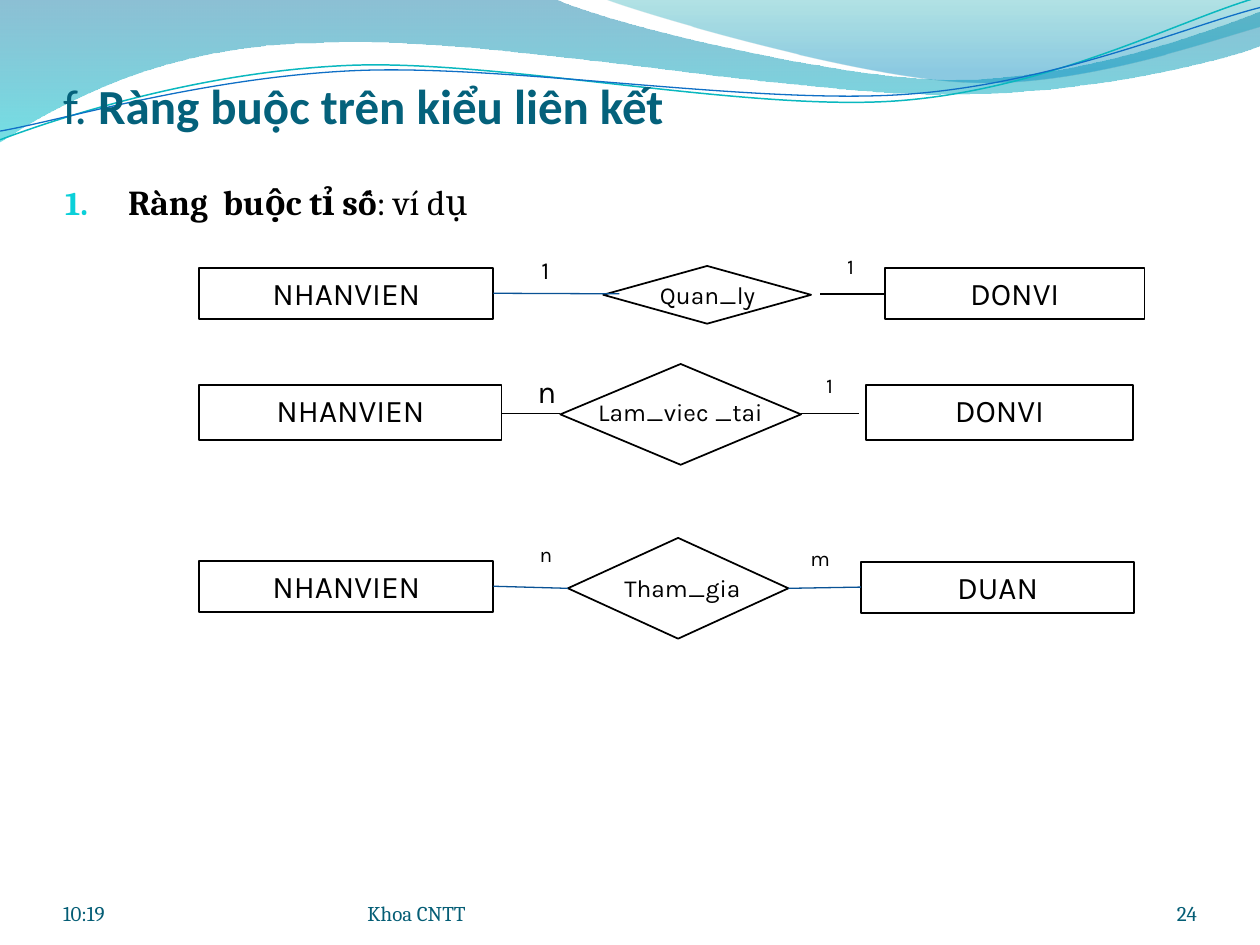
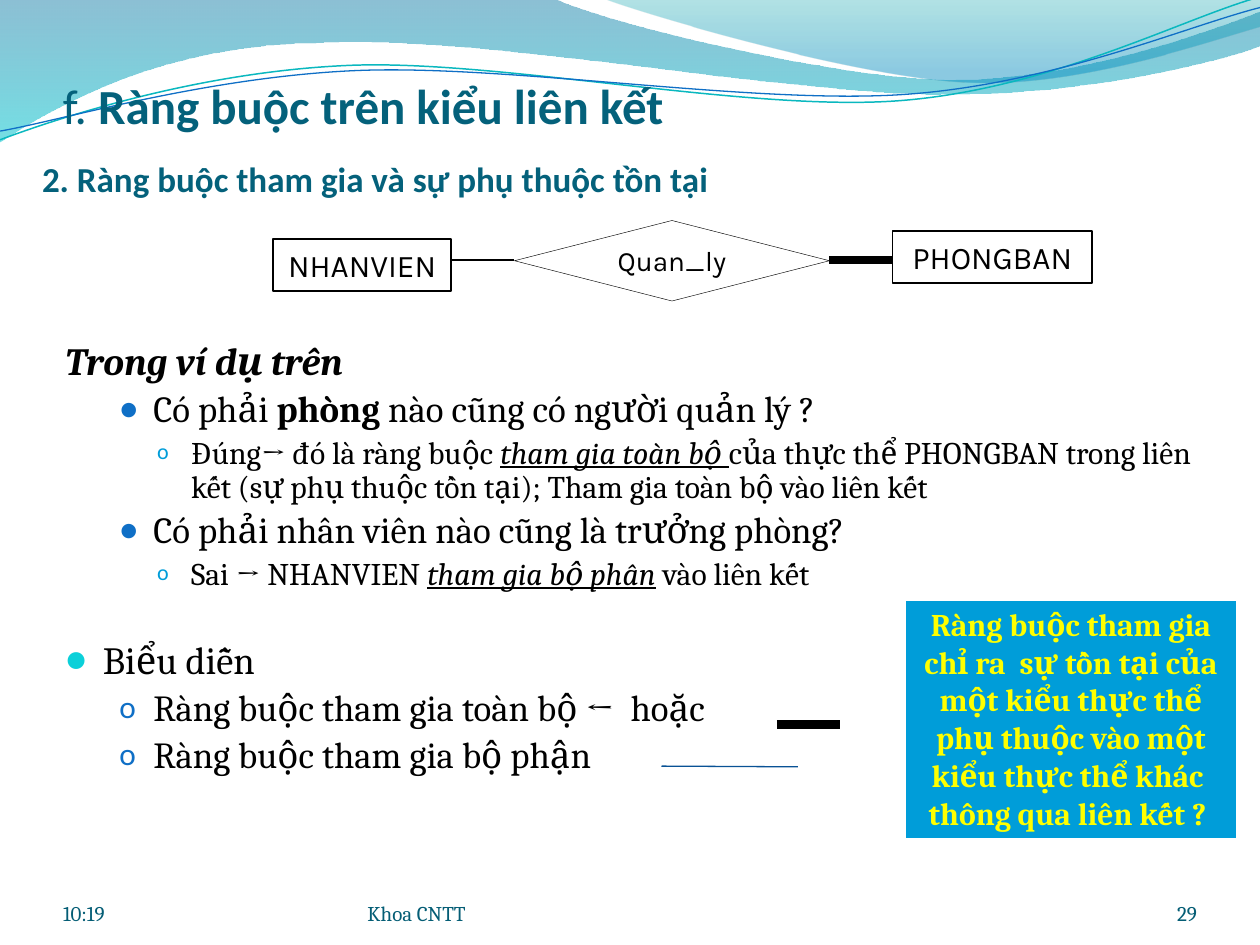
from lxml.etree import SubElement
from pptx import Presentation
from pptx.dml.color import RGBColor
from pptx.enum.shapes import MSO_CONNECTOR, MSO_SHAPE
from pptx.enum.text import MSO_ANCHOR, MSO_AUTO_SIZE, PP_ALIGN
from pptx.oxml.ns import qn
from pptx.util import Pt

BLACK, WHITE, TEAL, FOOTER_TEAL = "000000", "FFFFFF", "04617B", "045D75"
LINK_BLUE, SKY, BLUE, AQUA, YELLOW = "095295", "009DD9", "0F6FC6", "0BD0D9", "FFFF00"
HEADING_FONT, BODY_FONT, DIAGRAM_FONT = "Calibri", "Cambria", "Karla"

HEADING = [("f. ", ""), ("Ràng buộc trên kiểu liên kết", "b")]
HEADING_AREA = (36, 28, 648, 49)
SUBHEADING = [("2. Ràng buộc tham gia và sự phụ thuộc tồn tại", "b")]
SUBHEADING_AREA = (24, 84, 630, 30)
FOOTERS = [
    ("10:19", 36, 168, PP_ALIGN.LEFT),
    ("Khoa CNTT", 210, 264, PP_ALIGN.LEFT),
]
PAGE_NUMBER_AREA = (624, 60)

BANDS = [
    ((0, -0.7), [
        [(316.8, -0.7)],
        [(342.7, 12.2), (478.1, 45.4), (545.8, 45.4)],
        [(614.2, 45.4), (689.8, 18.7), (720, 6.5)],
        [(720.7, 25.9)],
        [(707.8, 31.7), (626.4, 54.7), (537.1, 54)],
        [(447.8, 54), (275, 20.2), (185, 24.5)],
        [(92.9, 25.2), (33.1, 59.8), (-0.7, 81.4)],
    ], [(0, "0074A1", 45), (1, "00C6CF", 55)]),
    ((344.9, -0.7), [
        [(366.5, 7.9), (491, 44.6), (553.7, 46.8)],
        [(616.3, 49.7), (691.9, 23), (720, 15.1)],
        [(720, 0)],
    ], [(0, "00A1A9", 30), (0.8, "008BBF", 45)]),
]
WAVES = [
    ((0, 79.9), [
        [(34.6, 67), (113.8, 41), (199.4, 37.4)],
        [(284.4, 33.8), (427, 64.1), (513.4, 57.6)],
        [(599.8, 51.1), (675.4, 10.8), (718.6, -1.4)],
    ], "0AB8BF", 0.85),
    ((0, 74.9), [
        [(33.8, 69.1), (118.1, 43.9), (203.8, 40.3)],
        [(290.2, 36.7), (429.8, 59.8), (516.2, 54)],
        [(601.9, 48.2), (677.5, 15.1), (720, 4.3)],
    ], BLUE, 0.75),
]

RELATIONS = [
    {
        "entities": [("NHANVIEN", (113.9, 153.2, 168, 29)), ("DONVI", (505.6, 153.2, 148.5, 29))],
        "relation": (344.7, 152, 118.8, 33),
        "label": ("Quan_ly", (347.9, 156.2, 113, 24)),
        "links": [((282, 167.6), (354, 167.9), LINK_BLUE, 0.75), ((468.7, 168), (505.5, 168), BLACK, 1)],
        "ratios": [("1", 14, 293, 142, 37.4), ("1", 12, 474, 141.2, 24)],
    },
    {
        "entities": [("NHANVIEN", (113.9, 219.9, 172.8, 31.7)), ("DONVI", (494.8, 219.9, 152.6, 31.7))],
        "relation": (320.2, 208, 137.5, 57.6),
        "label": ("Lam_viec _tai", (333.3, 223.2, 111, 24)),
        "links": [((286.6, 236.3), (320, 236.3), BLACK, 1), ((457.5, 236.3), (490.7, 236.3), BLACK, 1)],
        "ratios": [("n", 18, 300, 209, 18), ("1", 12, 462, 209.2, 24)],
    },
    {
        "entities": [("NHANVIEN", (113.9, 320.6, 168, 29)), ("DUAN", (492, 321.2, 156.2, 29))],
        "relation": (324.5, 307.4, 126, 57.6),
        "label": ("Tham_gia", (336, 323.8, 108, 24)),
        "links": [((282, 335), (324.5, 336.2), LINK_BLUE, 0.75), ((450.5, 336.2), (492, 335.5), LINK_BLUE, 0.75)],
        "ratios": [("n", 12, 300, 306, 24), ("m", 12, 456, 308.2, 24)],
    },
]
RATIO_BODY_AREA = (30, 102, 648, 402)
RATIO_BODY = [("number", 20, 0, [("Ràng  buộc tỉ số", "b"), (": ví dụ", "")])]

MANAGED_ENTITIES = [("NHANVIEN", (156, 136.5, 102, 29.8)), ("PHONGBAN", (510, 132, 114, 29.8))]
MANAGING = ("Quan_ly", (294, 126, 180, 46))
PARTICIPATION_LINKS = [
    ((258, 148.6), (294, 148.6), BLACK, 1),
    ((474, 148.6), (510, 148.6), BLACK, 4.75),
    ((444, 414), (480, 414), BLACK, 4.75),
    ((378, 437.8), (456, 438.2), LINK_BLUE, 0.75),
]
PARTICIPATION_BODY_AREA = (30, 192, 660, 306)
PARTICIPATION_BODY = [
    ("plain", 22, 0, [("Trong ví dụ trên", "bi")]),
    ("dot", 21, 4.2, [("Có phải ", ""), ("phòng", "b"), (" nào cũng có người quản lý ?", "")]),
    ("circle small", 18, 3.4, [
        ("Đúng→ đó là ràng buộc ", ""), ("tham gia toàn bộ ", "iu"),
        ("của thực thể PHONGBAN trong liên kết (sự phụ thuộc tồn tại); Tham gia toàn bộ vào liên kết", ""),
    ]),
    ("dot", 21, 4.2, [("Có phải nhân viên nào cũng là trưởng phòng?", "")]),
    ("circle small", 18, 3.4, [("Sai → NHANVIEN ", ""), ("tham gia bộ phân", "iu"), (" vào liên kết", "")]),
    ("top dot", 22, 28, [("Biểu diễn", "")]),
    ("circle", 21, 4.2, [("Ràng buộc tham gia toàn bộ ←  hoặc", "")]),
    ("circle", 21, 4.2, [("Ràng buộc tham gia bộ phận", "")]),
]
LIST_STYLES = {
    "plain": (0, 21.6, 21.6, None, None, None),
    "number": (0, 36, 36, "1.", AQUA, 95),
    "top dot": (0, 21.6, 21.6, "●", AQUA, 95),
    "dot": (1, 50.4, 19.4, "●", BLUE, 85),
    "circle": (1, 50.4, 19.4, "o", BLUE, 85),
    "circle small": (2, 72, 19.4, "o", SKY, 70),
}
CALLOUT = ("Ràng buộc tham gia chỉ ra  sự tồn tại của một kiểu thực thể phụ thuộc vào "
           "một kiểu thực thể khác  thông qua liên kết ? ")
CALLOUT_AREA = (516, 342, 192, 138.3)


def color(value):
    return RGBColor.from_string(value)


def points(values):
    return [Pt(value) for value in values]


def place(shape, area):
    shape.left, shape.top, shape.width, shape.height = points(area)


def set_font(font, name, size, tint, bold=None):
    font.name, font.size, font.bold = name, Pt(size), bold
    font.color.rgb = color(tint)


def add_spans(para, spans):
    for text, marks in spans:
        span = para.add_run()
        span.text = text
        span.font.bold = "b" in marks
        span.font.italic = "i" in marks
        span.font.underline = "u" in marks


def write(box, text, name, size, tint, align=PP_ALIGN.CENTER, anchor=MSO_ANCHOR.TOP, bold=None):
    frame = box.text_frame
    frame.word_wrap = True
    frame.vertical_anchor = anchor
    para = frame.paragraphs[0]
    para.text = text
    para.alignment = align
    set_font(para.font, name, size, tint, bold)
    return frame


def add_label(page, text, area, size):
    write(page.shapes.add_textbox(*points(area)), text, DIAGRAM_FONT, size, BLACK)


def fill_heading(box, area, spans, size):
    place(box, area)
    frame = write(box, "", HEADING_FONT, size, TEAL, PP_ALIGN.LEFT, MSO_ANCHOR.BOTTOM)
    frame.auto_size = MSO_AUTO_SIZE.NONE
    frame.margin_left = frame.margin_right = frame.margin_bottom = 0
    frame.margin_top = Pt(3.6)
    add_spans(frame.paragraphs[0], spans)


def set_bullet(para, style):
    level, margin, hanging, mark, tint, percent = LIST_STYLES[style]
    para.level = level
    properties = para._p.get_or_add_pPr()
    properties.set("marL", str(Pt(margin)))
    properties.set("indent", str(-Pt(hanging)))
    if mark is None:
        SubElement(properties, qn("a:buNone"))
        return
    SubElement(SubElement(properties, qn("a:buClr")), qn("a:srgbClr"), val=tint)
    SubElement(properties, qn("a:buSzPct"), val=str(percent * 1000))
    if mark == "1.":
        SubElement(properties, qn("a:buFont"), typeface=BODY_FONT)
        SubElement(properties, qn("a:buAutoNum"), type="arabicPeriod")
    else:
        SubElement(properties, qn("a:buFont"), typeface=HEADING_FONT)
        SubElement(properties, qn("a:buChar"), char=mark)


def fill_body(page, area, items):
    body = page.placeholders[1]
    place(body, area)
    frame = body.text_frame
    frame.auto_size = MSO_AUTO_SIZE.NONE
    for index, (style, size, space, spans) in enumerate(items):
        para = frame.add_paragraph() if index else frame.paragraphs[0]
        set_bullet(para, style)
        para.line_spacing = 0.9
        para.space_before = Pt(space)
        set_font(para.font, BODY_FONT, size, BLACK)
        add_spans(para, spans)


def add_outline(page, kind, area, weight=1):
    shape = page.shapes.add_shape(kind, *points(area))
    shape.shadow.inherit = False
    shape.fill.background()
    shape.line.color.rgb = color(BLACK)
    shape.line.width = Pt(weight)
    return shape


def add_entities(page, entities, anchor):
    for name, area in entities:
        write(add_outline(page, MSO_SHAPE.RECTANGLE, area), name, DIAGRAM_FONT, 18, BLACK, anchor=anchor)


def add_links(page, links):
    for start, end, tint, weight in links:
        link = page.shapes.add_connector(MSO_CONNECTOR.STRAIGHT, *points(start + end))
        link.line.color.rgb = color(tint)
        link.line.width = Pt(weight)
        SubElement(link._element.spPr, qn("a:effectLst"))


def draw_curve(page, start, segments, close):
    builder = page.shapes.build_freeform(start[0] * 100, start[1] * 100, scale=Pt(1) / 100)
    corners = [(x * 100, y * 100) for segment in segments for x, y in segment]
    builder.add_line_segments(corners, close=close)
    shape = builder.convert_to_shape()
    shape.shadow.inherit = False
    lines = iter(list(shape._element.iter(qn("a:lnTo"))))
    for segment in segments:
        first, *others = [next(lines) for _ in segment]
        if others:
            first.tag = qn("a:cubicBezTo")
        for line in others:
            first.append(line[0])
            line.getparent().remove(line)
    return shape


def add_waves_to_master(deck, page):
    waves = []
    for start, segments, stops in BANDS:
        band = draw_curve(page, start, segments, True)
        band.line.fill.background()
        band.fill.gradient()
        band.fill.gradient_angle = 270
        for stop, (position, tint, opacity) in zip(band.fill.gradient_stops, stops):
            stop.position = position
            stop.color.rgb = color(tint)
            SubElement(stop._gs.find(qn("a:srgbClr")), qn("a:alpha"), val=str(opacity * 1000))
        waves.append(band)
    for start, segments, tint, weight in WAVES:
        wave = draw_curve(page, start, segments, False)
        wave.fill.background()
        wave.line.color.rgb = color(tint)
        wave.line.width = Pt(weight)
        waves.append(wave)
    tree = deck.slide_master.shapes._spTree
    for index, wave in enumerate(waves):
        wave._element.nvSpPr.cNvPr.set("id", str(100 + index))
        tree.insert(2 + index, wave._element)


def add_footers(page, number):
    for text, left, width, align in [*FOOTERS, (number, *PAGE_NUMBER_AREA, PP_ALIGN.RIGHT)]:
        box = page.shapes.add_textbox(*points((left, 500.4, width, 28.8)))
        frame = write(box, text, BODY_FONT, 12, FOOTER_TEAL, align, MSO_ANCHOR.BOTTOM)
        frame.margin_left = frame.margin_right = frame.margin_top = frame.margin_bottom = 0


def build_ratio_page(page):
    fill_heading(page.shapes.title, HEADING_AREA, HEADING, 28)
    fill_body(page, RATIO_BODY_AREA, RATIO_BODY)
    for row in RELATIONS:
        add_entities(page, row["entities"], MSO_ANCHOR.TOP)
        add_outline(page, MSO_SHAPE.FLOWCHART_DECISION, row["relation"])
        add_label(page, *row["label"], 14)
        add_links(page, row["links"])
        for text, size, left, top, width in row["ratios"]:
            add_label(page, text, (left, top, width, size * 1.2 + 7.2), size)
    add_footers(page, "24")


def build_participation_page(page):
    fill_heading(page.shapes.title, SUBHEADING_AREA, SUBHEADING, 20)
    fill_body(page, PARTICIPATION_BODY_AREA, PARTICIPATION_BODY)
    add_entities(page, MANAGED_ENTITIES, MSO_ANCHOR.MIDDLE)
    name, area = MANAGING
    diamond = add_outline(page, MSO_SHAPE.FLOWCHART_DECISION, area, 0.25)
    frame = write(diamond, name, DIAGRAM_FONT, 16, BLACK, anchor=MSO_ANCHOR.MIDDLE)
    frame.margin_left = frame.margin_right = 0
    frame.word_wrap = False
    add_links(page, PARTICIPATION_LINKS)
    callout = add_outline(page, MSO_SHAPE.RECTANGLE, CALLOUT_AREA, 3)
    callout.fill.solid()
    callout.fill.fore_color.rgb = color(SKY)
    callout.line.color.rgb = color(WHITE)
    write(callout, CALLOUT, BODY_FONT, 18, YELLOW, bold=True)
    fill_heading(page.shapes.add_textbox(0, 0, 0, 0), HEADING_AREA, HEADING, 28)
    add_footers(page, "29")


def main():
    deck = Presentation()
    deck.slide_width, deck.slide_height = Pt(720), Pt(540)
    layout = deck.slide_layouts[1]
    ratio_page, participation_page = [deck.slides.add_slide(layout) for _ in range(2)]
    add_waves_to_master(deck, ratio_page)
    build_ratio_page(ratio_page)
    build_participation_page(participation_page)
    deck.save("out.pptx")


if __name__ == "__main__":
    main()
